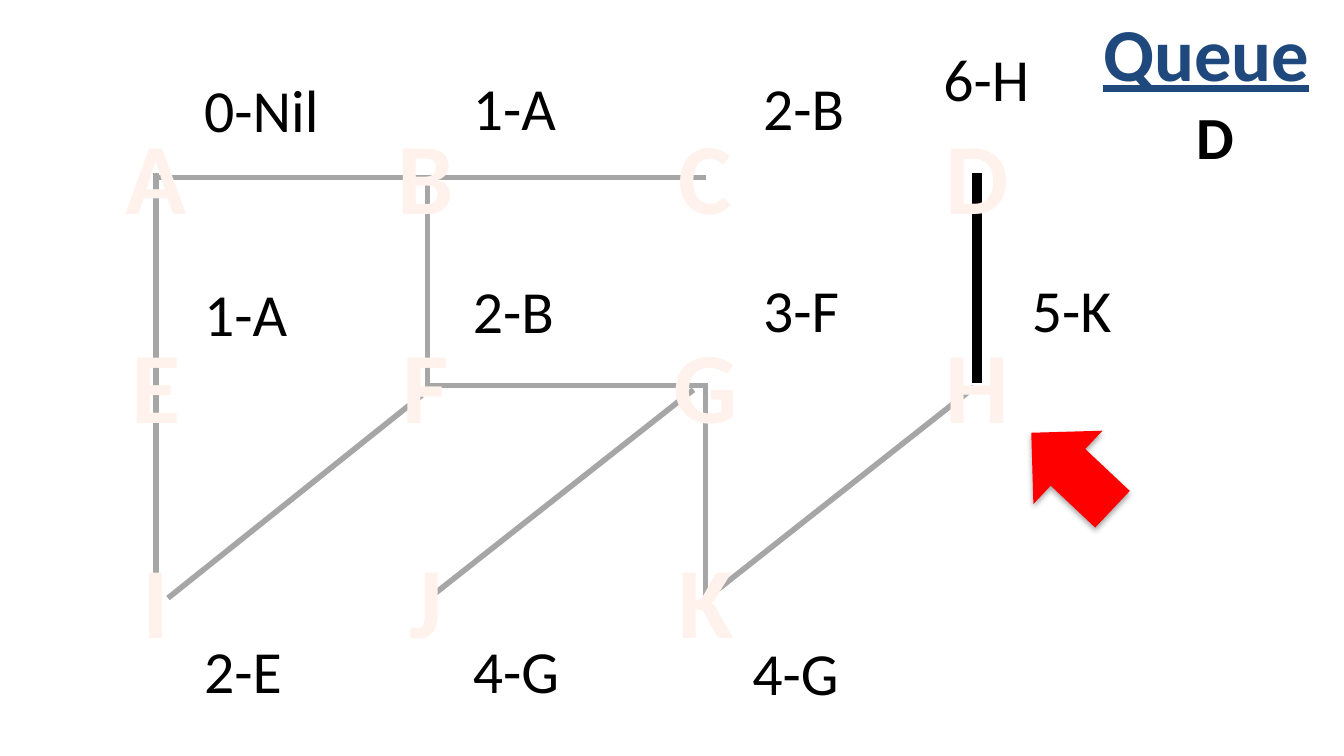
from lxml.etree import SubElement
from pptx import Presentation
from pptx.dml.color import RGBColor
from pptx.enum.shapes import MSO_CONNECTOR as CONN, MSO_SHAPE as SHAPE
from pptx.enum.text import MSO_ANCHOR as ANCHOR, MSO_AUTO_SIZE as AUTO, PP_ALIGN as ALIGN
from pptx.oxml.ns import qn
from pptx.util import Pt

PX = 9144
FONT = "Calibri"
COLORS = {
    "edge": "A6A6A6",
    "text": "000000",
    "node": "FFF2ED",
    "title": "1F497D",
    "arrow": "FF0000",
}
NODE_WIDTHS = {
    "A": 66, "B": 63, "C": 60, "D": 68, "E": 57, "F": 55,
    "G": 68, "H": 68, "I": 40, "J": 45, "K": 62,
}
COLUMNS = [36, 237, 445, 647]
ROWS = [(60, "ABCD"), (215, "EFGH"), (375, "IJK")]
EDGES = [
    (36, 112, 245, 112),
    (36, 109, 36, 268),
    (445, 265, 445, 431),
    (236, 267, 445, 267),
    (238, 112, 238, 265),
    (645, 268, 446, 425),
    (234, 274, 45, 425),
    (36, 270, 36, 428),
    (236, 112, 445, 112),
    (436, 270, 238, 426),
]
ACTIVE_EDGE = (647, 109, 647, 265)
LABELS = [
    ("0-Nil", 62, 29), ("1-A", 262, 28), ("2-B", 478, 28), ("6-H", 612, 6),
    ("1-A", 62, 181), ("2-B", 262, 179), ("3-F", 478, 178), ("5-K", 678, 178),
    ("2-E", 62, 447), ("4-G", 262, 447), ("4-G", 470, 448),
]


def px(*values):
    """Turn px lengths into EMU."""
    return [round(v * PX) for v in values]


def rgb(name):
    """Return a named colour."""
    return RGBColor.from_string(COLORS[name])


def format_text(tf, text, size, color, bold=False, align=ALIGN.LEFT):
    """Write one formatted paragraph and return its run."""
    p = tf.paragraphs[0]
    p.text = text
    p.alignment = align
    r = p.runs[0]
    r.font.name = FONT
    r.font.size = Pt(size)
    r.font.bold = bold
    r.font.color.rgb = rgb(color)
    return r


def add_text(s, box, text, size, color, wrap=True, **style):
    """Add a text box in the given px box."""
    tf = s.shapes.add_textbox(*px(*box)).text_frame
    tf.word_wrap = wrap
    tf.auto_size = AUTO.SHAPE_TO_FIT_TEXT
    format_text(tf, text, size, color, **style)


def add_edge(s, x, y, ends, color, width):
    """Add one edge relative to the point x, y."""
    x1, y1, x2, y2 = ends
    sp = s.shapes.add_connector(CONN.STRAIGHT, *px(x + x1, y + y1, x + x2, y + y2))
    sp.line.color.rgb = rgb(color)
    sp.line.width = Pt(width)
    SubElement(sp._element.spPr, qn("a:effectLst"))


def add_pointer(s, x, y, w, h):
    """Add the red arrow with its soft shadow."""
    sp = s.shapes.add_shape(SHAPE.DOWN_ARROW, *px(x, y, w, h))
    sp.rotation = 133.3
    sp.fill.solid()
    sp.fill.fore_color.rgb = rgb("arrow")
    sp.line.fill.background()
    sp.shadow.inherit = False
    effects = sp._element.spPr.find(qn("a:effectLst"))
    shadow = SubElement(effects, qn("a:outerShdw"), blurRad="40000",
                        dist="23000", dir="5400000", rotWithShape="0")
    color = SubElement(shadow, qn("a:srgbClr"), val=COLORS["text"])
    SubElement(color, qn("a:alpha"), val="35000")


def add_graph(s, x, y):
    """Draw edges, nodes, distance labels and the pointer."""
    for ends in EDGES:
        add_edge(s, x, y, ends, "edge", 3)
    add_edge(s, x, y, ACTIVE_EDGE, "text", 5)
    for top, names in ROWS:
        for center, name in zip(COLUMNS, names):
            w = NODE_WIDTHS[name]
            add_text(s, (x + center - w / 2, y + top, w, 101), name, 54, "node",
                     wrap=False, bold=True, align=ALIGN.CENTER)
    for text, left, top in LABELS:
        add_text(s, (x + left, y + top, 108, 64), text, 32, "text")
    add_pointer(s, x + 680, y + 289, 75, 83)


def add_queue(s, x, y, w):
    """Place the queue heading and its only entry."""
    sp = s.placeholders[1]
    sp.left, sp.top, sp.width, sp.height = px(x, y, w, 81)
    tf = sp.text_frame
    tf.auto_size = AUTO.NONE
    tf.vertical_anchor = ANCHOR.TOP
    r = format_text(tf, "Queue", 40, "title", bold=True, align=ALIGN.CENTER)
    r.font.underline = True
    tf.paragraphs[0].space_before = Pt(0)
    add_text(s, (x + 50, y + 69, 108, 64), "D", 32, "text",
             bold=True, align=ALIGN.CENTER)


def main():
    """Build and save the slide."""
    prs = Presentation()
    prs.slide_width, = px(1000)
    prs.slide_height = prs.slide_width * 9 // 16
    s = prs.slides.add_slide(prs.slide_layouts[2])
    title = s.shapes.title._element
    title.getparent().remove(title)
    add_graph(s, 80, 20)
    add_queue(s, 800, 0, 195)
    prs.save("out.pptx")


if __name__ == "__main__":
    main()
